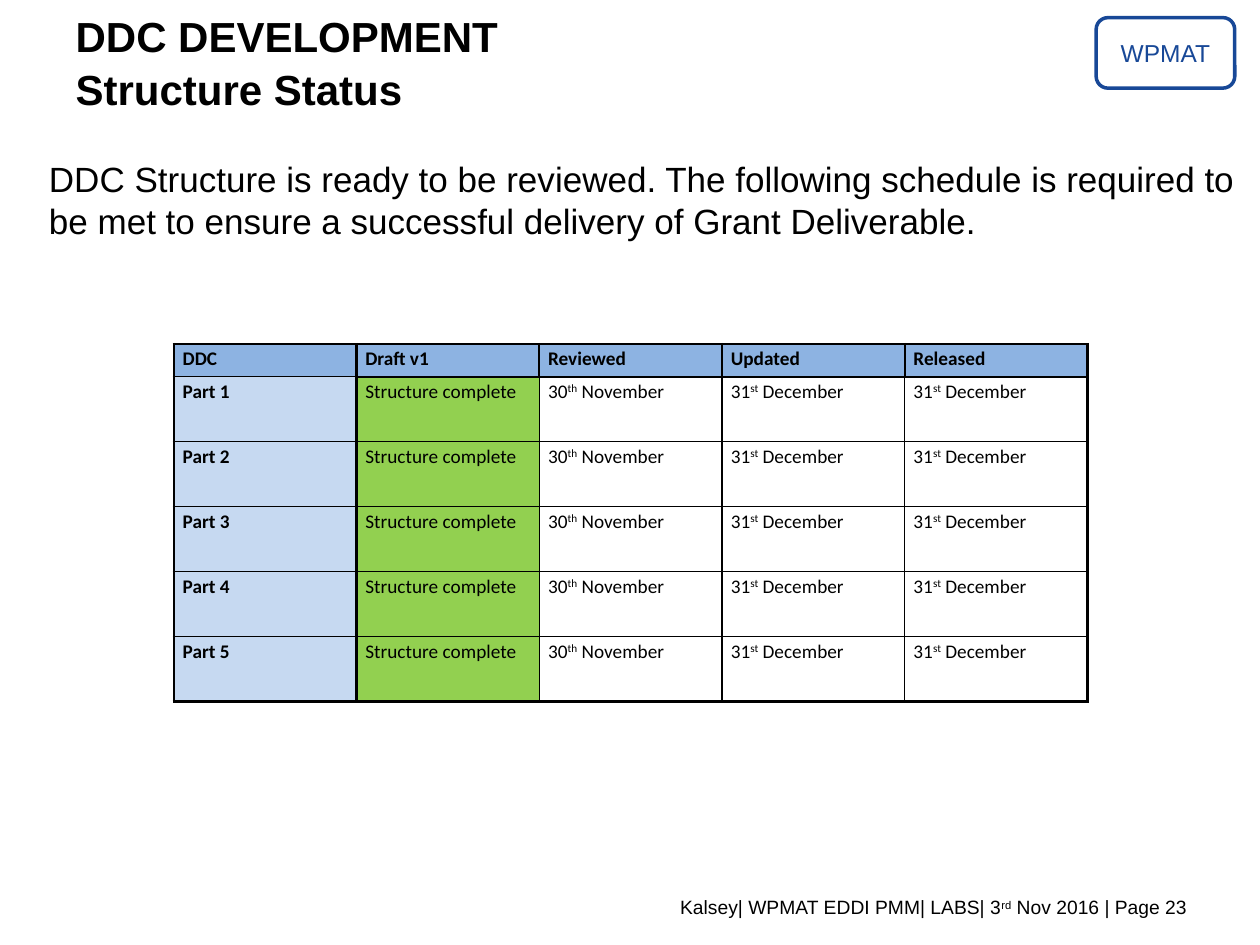
from dataclasses import dataclass

from lxml.etree import SubElement
from pptx import Presentation
from pptx.dml.color import RGBColor
from pptx.enum.shapes import MSO_SHAPE
from pptx.enum.text import MSO_ANCHOR, MSO_AUTO_SIZE, PP_ALIGN
from pptx.oxml import parse_xml
from pptx.oxml.ns import nsdecls, qn
from pptx.util import Inches, Pt


@dataclass(frozen=True)
class Theme:
    """Colours, fonts and type sizes of the slide."""
    ink: str = "000000"
    badge: str = "184897"
    header_fill: str = "8DB3E2"
    label_fill: str = "C6D9F1"
    complete_fill: str = "92D050"
    body_font: str = "Arial"
    table_font: str = "Calibri"
    title_size: float = 24
    body_size: float = 20
    badge_size: float = 14
    small_size: float = 11
    thick: float = 1.5
    thin: float = 1


THEME = Theme()
HEADINGS = ["DDC", "Draft v1", "Reviewed", "Updated", "Released"]
NOVEMBER = ("30", "th", " November")
DECEMBER = ("31", "st", " December")
SCHEDULE = [
    [(f"Part {number}",), ("Structure complete",), NOVEMBER, DECEMBER, DECEMBER]
    for number in range(1, 6)
]


def add_runs(paragraph, pieces, size, font=THEME.body_font, color=THEME.ink, bold=False):
    """Add the pieces as runs, raising every second one to superscript."""
    for index, piece in enumerate(pieces):
        run = paragraph.add_run()
        run.text = piece
        run.font.size = Pt(size)
        run.font.name = font
        run.font.bold = bold
        run.font.color.rgb = RGBColor.from_string(color)
        if index % 2:
            run._r.get_or_add_rPr().set("baseline", "30000")


def add_text(slide, box):
    """Add a wrapping text box and return its first paragraph."""
    frame = slide.shapes.add_textbox(*box).text_frame
    frame.word_wrap = True
    return frame.paragraphs[0]


def place_title(slide, box, lines):
    """Move the title placeholder into the box and write its lines."""
    title = slide.shapes.title
    title.left, title.top, title.width, title.height = box
    frame = title.text_frame
    frame.word_wrap = False
    frame.auto_size = MSO_AUTO_SIZE.SHAPE_TO_FIT_TEXT
    frame.vertical_anchor = MSO_ANCHOR.MIDDLE
    paragraph = frame.paragraphs[0]
    paragraph.alignment = PP_ALIGN.LEFT
    paragraph.line_spacing = 1.05
    for index, line in enumerate(lines):
        if index:
            paragraph.add_line_break()
        add_runs(paragraph, [line], THEME.title_size, bold=True)


def add_badge(slide, box, label):
    """Add the outlined project badge."""
    badge = slide.shapes.add_shape(MSO_SHAPE.ROUNDED_RECTANGLE, *box)
    badge.shadow.inherit = False
    badge.fill.background()
    badge.line.color.rgb = RGBColor.from_string(THEME.badge)
    badge.line.width = Pt(2)
    badge.text_frame.vertical_anchor = MSO_ANCHOR.MIDDLE
    paragraph = badge.text_frame.paragraphs[0]
    paragraph.alignment = PP_ALIGN.CENTER
    add_runs(paragraph, [label], THEME.badge_size, color=THEME.badge)


def add_summary(slide, box, sentence):
    """Add the indented summary above the schedule."""
    paragraph = add_text(slide, box)
    paragraph.space_before = Pt(4)
    properties = paragraph._p.get_or_add_pPr()
    properties.set("marL", str(Inches(0.5)))
    properties.set("indent", "0")
    add_runs(paragraph, [sentence], THEME.body_size)


def add_footer(slide, box, pieces):
    """Add the right-aligned footer."""
    paragraph = add_text(slide, box)
    paragraph.alignment = PP_ALIGN.RIGHT
    add_runs(paragraph, pieces, THEME.small_size)


def draw_borders(cell, widths):
    """Draw the left, right, top and bottom borders of a cell."""
    properties = cell._tc.get_or_add_tcPr()
    for index, (side, width) in enumerate(zip("LRTB", widths)):
        line = parse_xml(f'<a:ln{side} {nsdecls("a")} w="{Pt(width)}"/>')
        fill = SubElement(line, qn("a:solidFill"))
        SubElement(fill, qn("a:srgbClr")).set("val", THEME.ink)
        properties.insert(index, line)


def add_schedule(slide, box, headings, schedule):
    """Add the review schedule with equal columns and equal body rows."""
    rows = [[(heading,) for heading in headings], *schedule]
    last_row, last_column = len(rows) - 1, len(headings) - 1
    table = slide.shapes.add_table(len(rows), len(headings), *box).table
    table.first_row = table.horz_banding = False
    left, top, width, height = box
    header_height = Inches(0.26)
    for column in table.columns:
        column.width = width // len(headings)
    for index, row in enumerate(table.rows):
        row.height = (height - header_height) // last_row if index else header_height
    column_fills = {0: THEME.label_fill, 1: THEME.complete_fill}

    for r, row in enumerate(rows):
        for c, pieces in enumerate(row):
            cell = table.cell(r, c)
            cell.margin_left = cell.margin_right = Inches(0.07)
            cell.margin_top = cell.margin_bottom = 0
            color = column_fills.get(c) if r else THEME.header_fill
            if color:
                cell.fill.solid()
                cell.fill.fore_color.rgb = RGBColor.from_string(color)
            else:
                cell.fill.background()
            paragraph = cell.text_frame.paragraphs[0]
            paragraph.alignment = PP_ALIGN.JUSTIFY
            paragraph.line_spacing = 1.15
            add_runs(paragraph, pieces, THEME.small_size, THEME.table_font,
                     bold=r == 0 or c == 0)
            thick_sides = (
                r == 0 or c <= 1,
                r == 0 or c in (0, last_column),
                r == 0 or (r == 1 and c > 0),
                r == last_row or (r == 0 and c > 0),
            )
            draw_borders(cell, [THEME.thick if thick else THEME.thin
                                for thick in thick_sides])


def main():
    """Build and save the structure status slide."""
    presentation = Presentation()
    presentation.slide_width, presentation.slide_height = Inches(10), Inches(7.5)
    slide = presentation.slides.add_slide(presentation.slide_layouts[5])

    def box(*lengths):
        """Turn lengths in inches into a box."""
        return tuple(Inches(length) for length in lengths)

    add_badge(slide, box(8.7, 0.14, 1.1, 0.56), "WPMAT")
    add_footer(slide, box(0.51, 7.06, 9.01, 0.29),
               ["Kalsey| WPMAT EDDI PMM| LABS| 3", "rd", " Nov 2016 | Page 23"])
    place_title(slide, box(0.5, 0.03, 3.59, 0.91),
                ["DDC DEVELOPMENT", "Structure Status"])
    add_schedule(slide, box(1.38, 2.73, 7.25, 2.84), HEADINGS, SCHEDULE)
    add_summary(slide, box(-0.21, 1.2, 10.12, 1.95),
                "DDC Structure is ready to be reviewed. The following schedule is "
                "required to be met to ensure a successful delivery of Grant Deliverable.")
    presentation.save("out.pptx")


if __name__ == "__main__":
    main()
